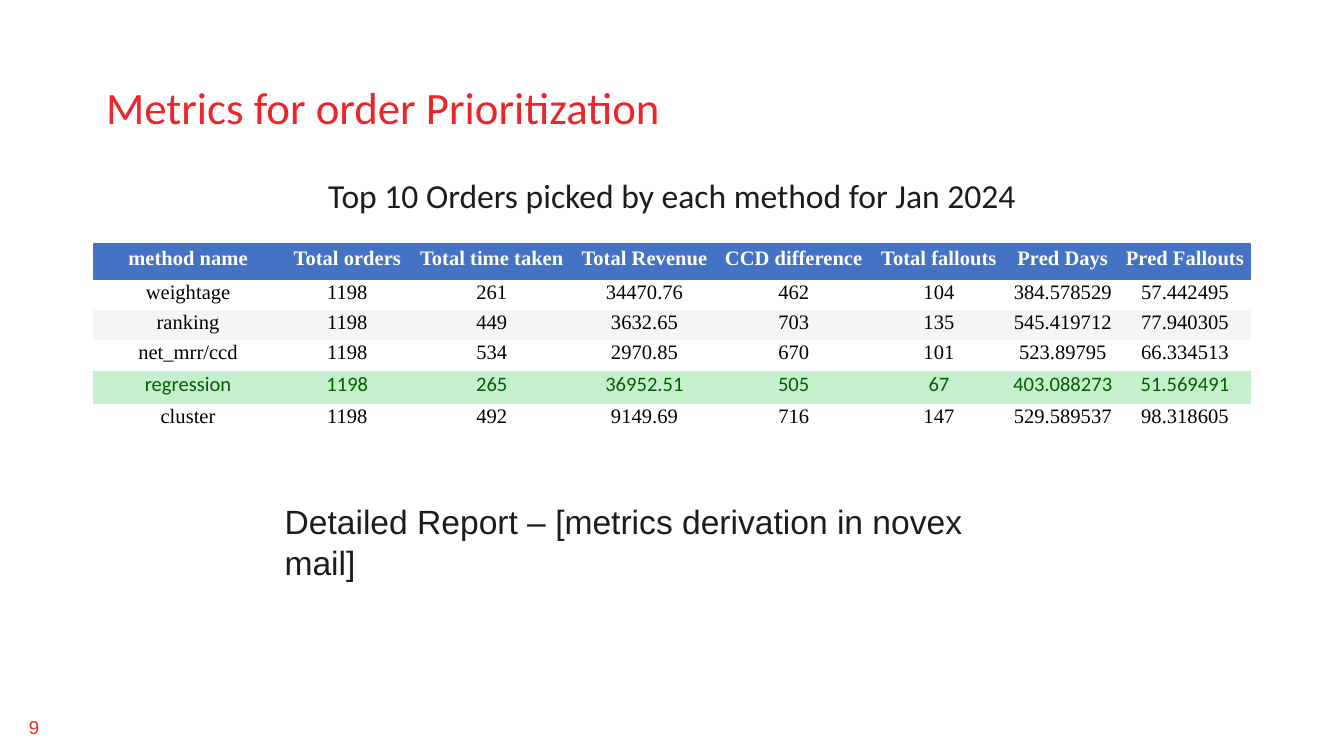
"""Build the order prioritization metrics slide."""
import dataclasses
import typing

import pptx
import pptx.dml.color
import pptx.enum.text
import pptx.oxml.ns
import pptx.util

Cm = pptx.util.Cm
Align = pptx.enum.text.PP_ALIGN
Anchor = pptx.enum.text.MSO_ANCHOR
AutoSize = pptx.enum.text.MSO_AUTO_SIZE


@dataclasses.dataclass(frozen=True)
class Theme:
    accent: str = "EB262A"
    ink: str = "1C1C1C"
    sans: str = "Calibri"
    plain: str = "Arial"
    serif: str = "Times New Roman"
    title_size: int = 24
    body_size: int = 18
    table_size: int = 11
    number_size: int = 10
    no_table_style: str = "{2D5ABB26-0587-4C30-8999-92F81FD0307C}"


@dataclasses.dataclass(frozen=True)
class TextStyle:
    font: str
    size: int
    color: str
    align: Align = Align.LEFT
    bold: bool = False


@dataclasses.dataclass(frozen=True)
class Box:
    left: float
    top: float
    width: float
    height: float

    def lengths(self) -> tuple[int, ...]:
        return tuple(Cm(value) for value in dataclasses.astuple(self))


@dataclasses.dataclass(frozen=True)
class Label:
    text: str
    box: Box
    style: TextStyle
    anchor: Anchor = Anchor.TOP


@dataclasses.dataclass(frozen=True)
class RowStyle:
    fill: str
    text: TextStyle


THEME = Theme()


def table_text(color: str, font: str = THEME.serif, bold: bool = False) -> TextStyle:
    return TextStyle(font, THEME.table_size, color, Align.CENTER, bold)


HEADER = RowStyle("4472C4", table_text("FFFFFF", bold=True))
PLAIN = RowStyle("FFFFFF", table_text("000000"))
BANDED = RowStyle("F5F5F5", table_text("000000"))
BEST = RowStyle("C6EFCE", table_text("006100", THEME.sans))

TITLE = Label(
    "Metrics for order Prioritization",
    Box(1.75, 1.37, 11.23, 1.27),
    TextStyle(THEME.sans, THEME.title_size, THEME.accent),
)
LABELS = [
    Label(
        "Top 10 Orders picked by each method for Jan 2024",
        Box(5.82, 3.18, 13.77, 1.02),
        TextStyle(THEME.sans, THEME.body_size, THEME.ink, Align.CENTER),
    ),
    Label(
        "Detailed Report – [metrics derivation in novex mail]",
        Box(5.13, 9.35, 14.66, 1.02),
        TextStyle(THEME.plain, THEME.body_size, THEME.ink),
    ),
    Label(
        "9",
        Box(0.15, 13.36, 0.99, 0.76),
        TextStyle(THEME.plain, THEME.number_size, THEME.accent, Align.CENTER),
        Anchor.MIDDLE,
    ),
]

TABLE_BOX = Box(1.75, 4.6, 21.9, 2.99)
COLUMN_WIDTHS = [3.61, 2.41, 3.05, 2.72, 2.92, 2.57, 2.11, 2.51]
HEADER_HEIGHT = 0.69
ROW_HEIGHT = 0.46
ROWS = [
    (HEADER, ["method name", "Total orders", "Total time taken", "Total Revenue",
              "CCD difference", "Total fallouts", "Pred Days", "Pred Fallouts"]),
    (PLAIN, ["weightage", "1198", "261", "34470.76", "462", "104", "384.578529", "57.442495"]),
    (BANDED, ["ranking", "1198", "449", "3632.65", "703", "135", "545.419712", "77.940305"]),
    (PLAIN, ["net_mrr/ccd", "1198", "534", "2970.85", "670", "101", "523.89795", "66.334513"]),
    (BEST, ["regression", "1198", "265", "36952.51", "505", "67", "403.088273", "51.569491"]),
    (PLAIN, ["cluster", "1198", "492", "9149.69", "716", "147", "529.589537", "98.318605"]),
]


def write_text(text_frame: typing.Any, text: str, style: TextStyle) -> None:
    text_frame.text = text
    paragraph = text_frame.paragraphs[0]
    paragraph.alignment = style.align
    paragraph.font.name = style.font
    paragraph.font.size = pptx.util.Pt(style.size)
    paragraph.font.bold = style.bold
    paragraph.font.color.rgb = pptx.dml.color.RGBColor.from_string(style.color)


def fill_label(shape: typing.Any, label: Label) -> None:
    shape.left, shape.top, shape.width, shape.height = label.box.lengths()
    text_frame = shape.text_frame
    text_frame.word_wrap = True
    text_frame.auto_size = AutoSize.NONE
    text_frame.vertical_anchor = label.anchor
    write_text(text_frame, label.text, label.style)


def fill_cell(cell: typing.Any, text: str, style: RowStyle) -> None:
    cell.fill.solid()
    cell.fill.fore_color.rgb = pptx.dml.color.RGBColor.from_string(style.fill)
    cell.vertical_anchor = Anchor.MIDDLE
    cell.margin_left = cell.margin_right = cell.margin_top = Cm(0.02)
    cell.margin_bottom = Cm(0.12)
    write_text(cell.text_frame, text, style.text)


def add_metrics_table(slide: typing.Any) -> None:
    frame = slide.shapes.add_table(len(ROWS), len(COLUMN_WIDTHS), *TABLE_BOX.lengths())
    table = frame.table
    table.first_row = table.horz_banding = False
    style_id = table._tbl.tblPr.find(pptx.oxml.ns.qn("a:tableStyleId"))
    style_id.text = THEME.no_table_style
    for column, width in zip(table.columns, COLUMN_WIDTHS):
        column.width = Cm(width)
    for row, (style, values) in zip(table.rows, ROWS):
        row.height = Cm(HEADER_HEIGHT if style is HEADER else ROW_HEIGHT)
        for cell, value in zip(row.cells, values):
            fill_cell(cell, value, style)


def main() -> None:
    presentation = pptx.Presentation()
    presentation.slide_width = Cm(25.4)
    presentation.slide_height = Cm(14.29)
    layout = presentation.slide_layouts.get_by_name("Title Only")
    slide = presentation.slides.add_slide(layout)
    fill_label(slide.shapes.title, TITLE)
    add_metrics_table(slide)
    for label in LABELS:
        fill_label(slide.shapes.add_textbox(*label.box.lengths()), label)
    presentation.save("out.pptx")


if __name__ == "__main__":
    main()
